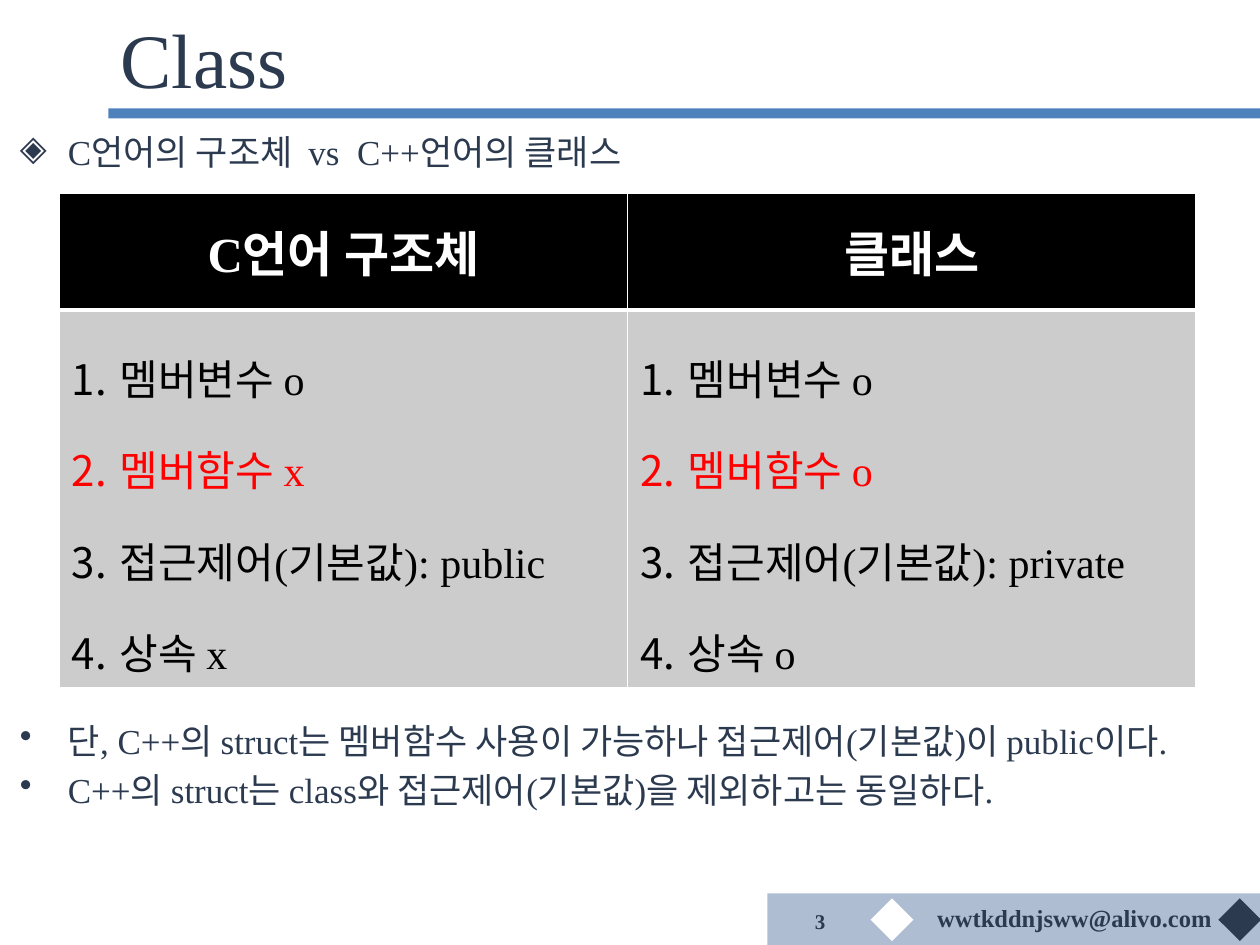
from lxml import etree
from pptx import Presentation
from pptx.dml.color import RGBColor
from pptx.enum.shapes import MSO_SHAPE
from pptx.enum.text import MSO_ANCHOR, PP_ALIGN
from pptx.oxml.ns import qn
from pptx.util import Inches, Pt

RECTANGLE = MSO_SHAPE.RECTANGLE
MIDDLE, TOP = MSO_ANCHOR.MIDDLE, MSO_ANCHOR.TOP
LEFT, CENTER, RIGHT = PP_ALIGN.LEFT, PP_ALIGN.CENTER, PP_ALIGN.RIGHT

FONT = "Times New Roman"
NAVY = RGBColor(0x2C, 0x3A, 0x50)
BLUE = RGBColor(0x4F, 0x81, 0xBD)
STEEL = RGBColor(0x78, 0x8F, 0xB4)
WHITE = RGBColor(0xFF, 0xFF, 0xFF)
BLACK = RGBColor(0, 0, 0)
RED = RGBColor(0xFF, 0, 0)
GRAY = RGBColor(0xCC, 0xCC, 0xCC)

HEADERS = ["C언어 구조체", "클래스"]
FEATURES = [
    ["멤버변수 o", "멤버함수 x", "접근제어(기본값): public", "상속 x"],
    ["멤버변수 o", "멤버함수 o", "접근제어(기본값): private", "상속 o"],
]
DIFFERENT_ROW = 1
NOTES = [
    "단, C++의 struct는 멤버함수 사용이 가능하나 접근제어(기본값)이 public이다.",
    "C++의 struct는 class와 접근제어(기본값)을 제외하고는 동일하다.",
]


def format_paragraph(paragraph, size, color, bold=False, align=LEFT):
    paragraph.alignment = align
    for run in paragraph.runs:
        run.font.name = FONT
        run.font.size = Pt(size)
        run.font.bold = bold
        run.font.color.rgb = color


def add_bullet(paragraph, tag, **attributes):
    """Hang the paragraph behind a bullet or a number."""
    properties = paragraph._p.get_or_add_pPr()
    properties.set("marL", str(Inches(0.38)))
    properties.set("indent", str(-Inches(0.38)))
    etree.SubElement(properties, qn(tag), attributes)


def add_block(slide, left, top, width, height, color, rotation=0, opacity=None):
    block = slide.shapes.add_shape(
        RECTANGLE, Inches(left), Inches(top), Inches(width), Inches(height))
    block.shadow.inherit = False
    block.rotation = rotation
    block.fill.solid()
    block.fill.fore_color.rgb = color
    block.line.fill.background()
    if opacity is not None:
        tone = block.fill._xPr.find(".//" + qn("a:srgbClr"))
        etree.SubElement(tone, qn("a:alpha"), val=str(opacity * 1000))


def add_text(slide, left, top, width, height, lines, size,
             bold=False, align=LEFT, anchor=TOP, wrap=True, bullet=None):
    box = slide.shapes.add_textbox(
        Inches(left), Inches(top), Inches(width), Inches(height))
    frame = box.text_frame
    frame.word_wrap = wrap
    frame.vertical_anchor = anchor
    frame.text = "\n".join(lines)
    for paragraph in frame.paragraphs:
        format_paragraph(paragraph, size, NAVY, bold, align)
        if bullet:
            paragraph.space_before = Pt(size * 0.2)
            add_bullet(paragraph, "a:buChar", char=bullet)


def style_cell(cell, color, top_width, bottom_width):
    """Draw white borders, then the fill that must follow them."""
    properties = cell._tc.get_or_add_tcPr()
    widths = {"a:lnL": 1, "a:lnR": 1, "a:lnT": top_width, "a:lnB": bottom_width}
    for side, width in widths.items():
        border = etree.SubElement(properties, qn(side), w=str(Pt(width)))
        fill = etree.SubElement(border, qn("a:solidFill"))
        etree.SubElement(fill, qn("a:srgbClr"), val=str(WHITE))
    cell.fill.solid()
    cell.fill.fore_color.rgb = color
    cell.vertical_anchor = MIDDLE


def add_comparison(slide):
    table = slide.shapes.add_table(
        2, 2, Inches(0.47), Inches(1.53), Inches(9.02), Inches(3.93)).table
    table.rows[0].height = Inches(0.93)
    table.rows[1].height = Inches(3)
    for column, (header, features) in enumerate(zip(HEADERS, FEATURES)):
        head, body = table.cell(0, column), table.cell(1, column)
        style_cell(head, BLACK, 1, 3)
        head.text_frame.text = header
        format_paragraph(head.text_frame.paragraphs[0], 28, WHITE, True, CENTER)

        style_cell(body, GRAY, 3, 1)
        body.text_frame.text = "\n".join(features)
        for row, paragraph in enumerate(body.text_frame.paragraphs):
            format_paragraph(paragraph, 24, RED if row == DIFFERENT_ROW else BLACK)
            paragraph.line_spacing = 1.5
            add_bullet(paragraph, "a:buAutoNum", type="arabicPeriod")


def main():
    presentation = Presentation()
    presentation.slide_width = Inches(10)
    presentation.slide_height = Inches(7.5)
    slide = presentation.slides.add_slide(presentation.slide_layouts[6])

    # Title rule and footer
    add_block(slide, 0.86, 0.86, 9.14, 0.08, BLUE)
    add_block(slide, 6.09, 7.09, 3.91, 0.41, STEEL, opacity=59)
    for left, color in ((9.72, NAVY), (6.96, WHITE)):
        add_block(slide, left, 7.18, 0.24, 0.24, color, rotation=45)
    add_text(slide, 7.34, 7.12, 2.44, 0.33, ["wwtkddnjsww@alivo.com"], 14,
             bold=True, wrap=False)
    add_text(slide, 6.18, 7.14, 0.47, 0.34, ["3"], 12,
             bold=True, align=RIGHT, anchor=MIDDLE)

    # Title and topic
    add_text(slide, 0.86, 0.07, 8.96, 0.77, ["Class"], 44, anchor=MIDDLE)
    add_text(slide, 0.06, 0.99, 9.89, 0.5,
             ["C언어의 구조체  vs  C++언어의 클래스"], 20, bullet="◈")

    # Comparison and remarks
    add_comparison(slide)
    add_text(slide, 0.06, 5.66, 9.89, 1.39, NOTES, 20, bullet="•")

    presentation.save("out.pptx")


if __name__ == "__main__":
    main()
